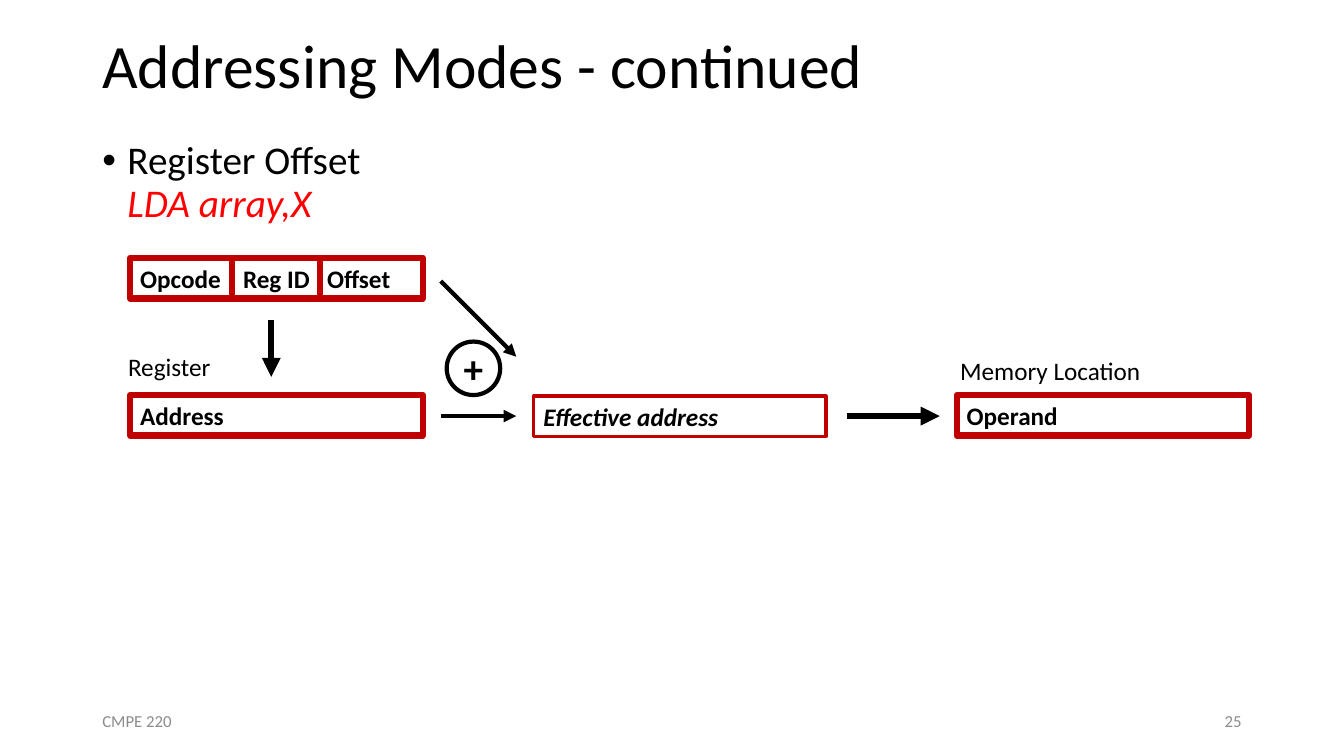
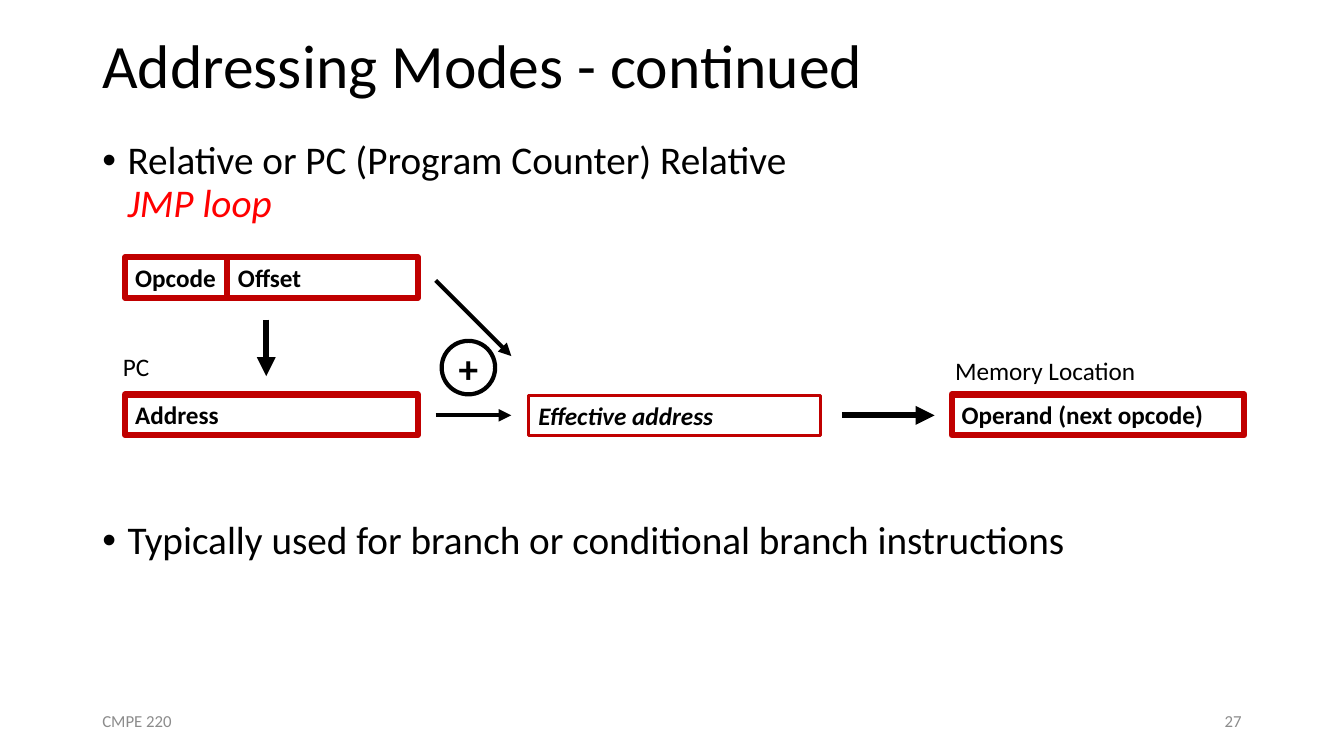
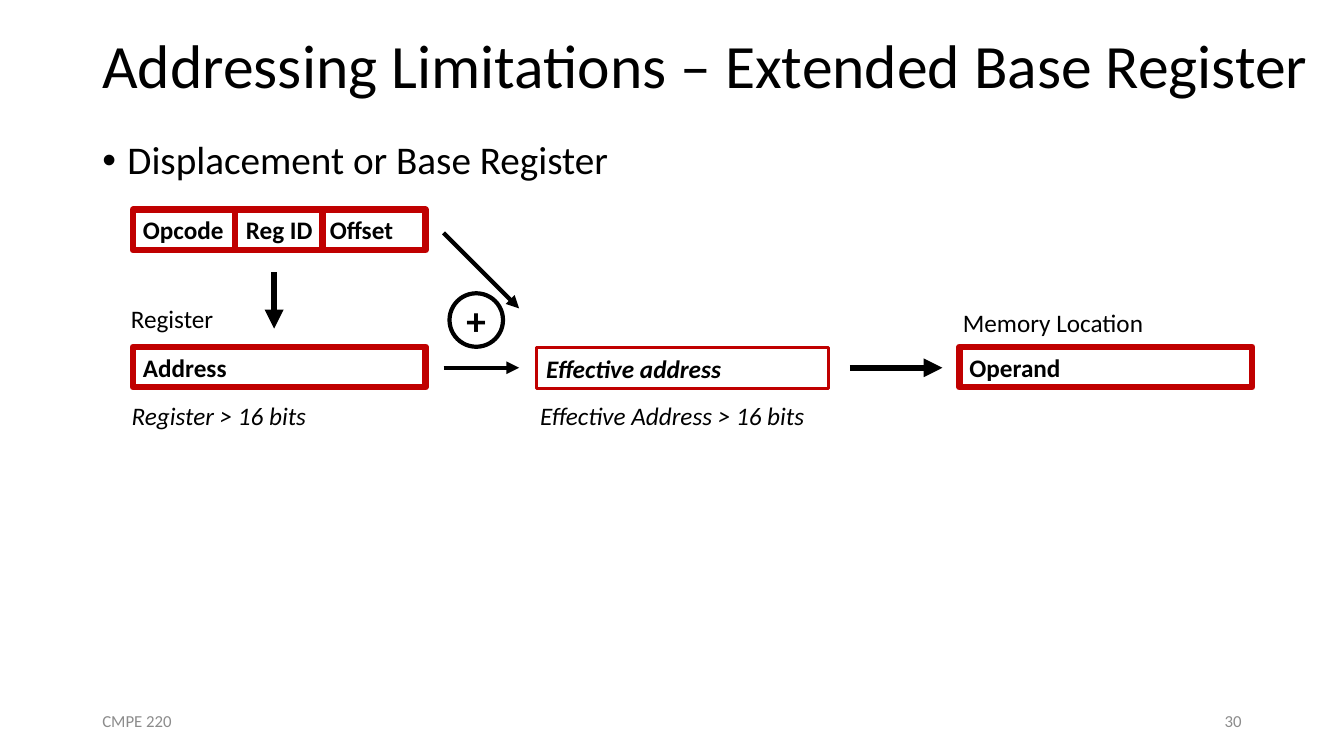
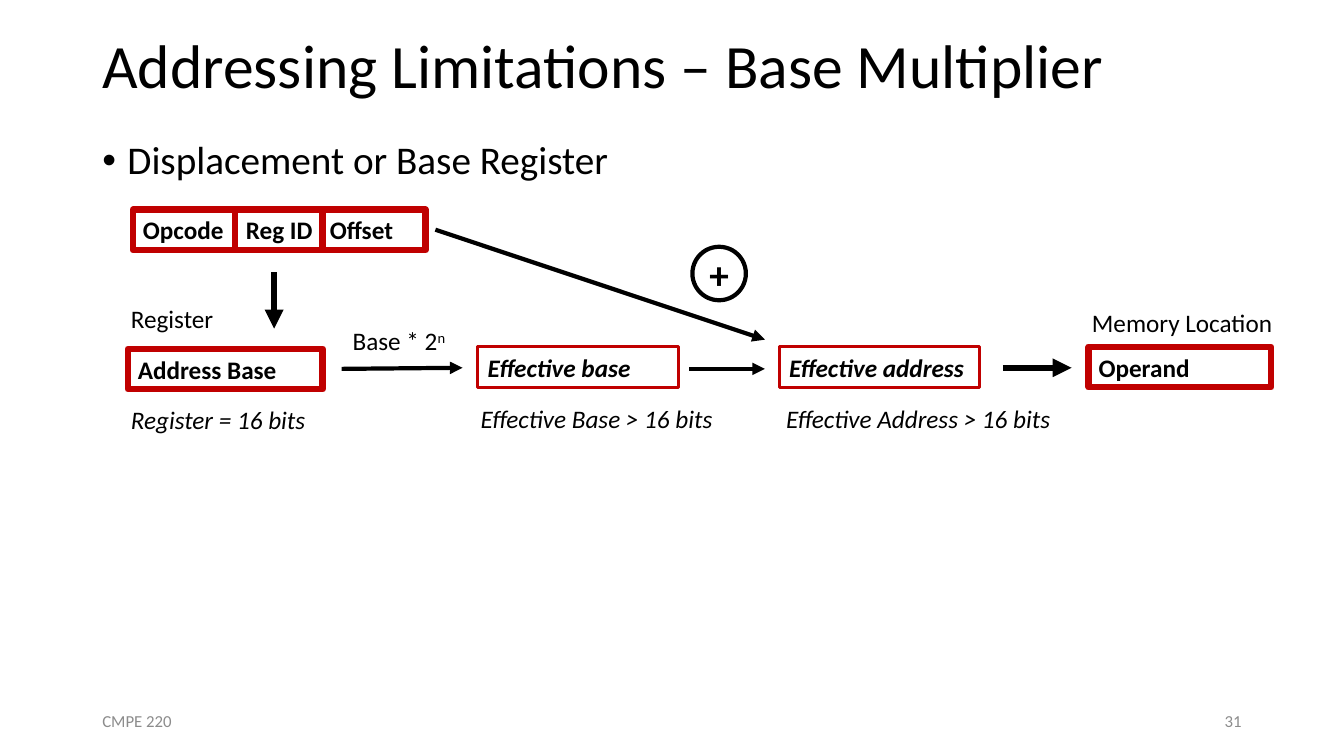
from dataclasses import dataclass

from lxml.etree import SubElement
from pptx import Presentation
from pptx.dml.color import RGBColor
from pptx.enum.shapes import MSO_CONNECTOR, MSO_SHAPE
from pptx.enum.text import MSO_ANCHOR, PP_ALIGN
from pptx.oxml.ns import qn
from pptx.shapes.autoshape import Shape
from pptx.slide import Slide
from pptx.text.text import TextFrame, _Paragraph
from pptx.util import Pt

BLACK = RGBColor(0x00, 0x00, 0x00)
RED = RGBColor(0xFF, 0x00, 0x00)
DARK_RED = RGBColor(0xC0, 0x00, 0x00)
GRAY = RGBColor(0x8C, 0x8C, 0x8C)

FONT = "Calibri"
COURSE = "CMPE 220"
MARGIN = 66
TITLE_HEIGHT = 97.2
FOOTER_TOP = 500.4
HEAVY, MEDIUM, LIGHT = 4.5, 3, 2.25
BOX_WIDTH, ROW_HEIGHT = 209, 29
LABEL_ROW, BOX_ROW, ARROW_ROW = 63.4, 98, 113
FIELD_DIVIDERS = (72.7, 135.4)
FIELD_TABS = (73.5, 133.5)
CIRCLE_SIZE = 38.2


@dataclass(frozen=True)
class TextRun:
    text: str
    size: float = 18
    color: RGBColor = BLACK
    bold: bool = False
    italic: bool = False
    superscript: bool = False


@dataclass(frozen=True)
class Bullet:
    text: str
    example: str = ""
    space_before: float = 10


@dataclass(frozen=True)
class Box:
    left: float
    top: float
    text: str
    width: float = BOX_WIDTH
    effective: bool = False


@dataclass(frozen=True)
class Label:
    left: float
    top: float
    width: float
    text: str
    italic: bool = False
    exponent: str = ""


@dataclass(frozen=True)
class Line:
    start: tuple[float, float]
    end: tuple[float, float]
    weight: float = MEDIUM
    color: RGBColor = BLACK
    arrow: bool = True


@dataclass(frozen=True)
class PlusCircle:
    left: float
    top: float


Item = Box | Label | Line | PlusCircle


@dataclass(frozen=True)
class Page:
    number: int
    title: str
    bullets: list[Bullet]
    origin: tuple[float, float]
    diagram: list[Item]
    title_width: float = 828
    body_width: float = 525.6


def add_run(paragraph: _Paragraph, text_run: TextRun) -> None:
    run = paragraph.add_run()
    run.text = text_run.text
    run.font.name = FONT
    run.font.size = Pt(text_run.size)
    run.font.color.rgb = text_run.color
    run.font.bold = text_run.bold
    run.font.italic = text_run.italic
    if text_run.superscript:
        run._r.get_or_add_rPr().set("baseline", "30000")


def add_text_frame(slide: Slide, left: float, top: float, width: float, height: float,
                   anchor: MSO_ANCHOR = MSO_ANCHOR.TOP) -> TextFrame:
    frame = slide.shapes.add_textbox(Pt(left), Pt(top), Pt(width), Pt(height)).text_frame
    frame.word_wrap = True
    frame.vertical_anchor = anchor
    return frame


def add_outline(slide: Slide, kind: MSO_SHAPE, left: float, top: float, width: float,
                height: float, color: RGBColor, weight: float) -> Shape:
    """Add an unfilled shape with a coloured border."""
    shape = slide.shapes.add_shape(kind, Pt(left), Pt(top), Pt(width), Pt(height))
    shape.shadow.inherit = False
    shape.fill.background()
    shape.line.color.rgb = color
    shape.line.width = Pt(weight)
    return shape


def draw_box(slide: Slide, x: float, y: float, box: Box) -> None:
    shape = add_outline(slide, MSO_SHAPE.RECTANGLE, x + box.left, y + box.top, box.width,
                        ROW_HEIGHT, DARK_RED, LIGHT if box.effective else HEAVY)
    paragraph = shape.text_frame.paragraphs[0]
    paragraph.alignment = PP_ALIGN.LEFT
    add_run(paragraph, TextRun(box.text, bold=True, italic=box.effective))
    tab_count = box.text.count("\t")
    if tab_count:
        tab_list = SubElement(paragraph._p.get_or_add_pPr(), qn("a:tabLst"))
        for position in FIELD_TABS[:tab_count]:
            SubElement(tab_list, qn("a:tab"), pos=str(Pt(position)), algn="l")


def draw_label(slide: Slide, x: float, y: float, label: Label) -> None:
    frame = add_text_frame(slide, x + label.left, y + label.top, label.width, ROW_HEIGHT)
    paragraph = frame.paragraphs[0]
    add_run(paragraph, TextRun(label.text, italic=label.italic))
    if label.exponent:
        add_run(paragraph, TextRun(label.exponent, superscript=True))


def draw_line(slide: Slide, x: float, y: float, line: Line) -> None:
    connector = slide.shapes.add_connector(
        MSO_CONNECTOR.STRAIGHT, Pt(x + line.start[0]), Pt(y + line.start[1]),
        Pt(x + line.end[0]), Pt(y + line.end[1]))
    connector.line.color.rgb = line.color
    connector.line.width = Pt(line.weight)
    properties = connector._element.spPr
    if line.arrow:
        SubElement(properties.find(qn("a:ln")), qn("a:tailEnd"), type="triangle")
    SubElement(properties, qn("a:effectLst"))


def draw_plus_circle(slide: Slide, x: float, y: float, circle: PlusCircle) -> None:
    shape = add_outline(slide, MSO_SHAPE.OVAL, x + circle.left, y + circle.top,
                        CIRCLE_SIZE, CIRCLE_SIZE, BLACK, MEDIUM)
    frame = shape.text_frame
    frame.margin_left = frame.margin_right = frame.margin_top = frame.margin_bottom = 0
    frame.word_wrap = False
    frame.paragraphs[0].alignment = PP_ALIGN.CENTER
    add_run(frame.paragraphs[0], TextRun("+", size=28, bold=True))


DRAWERS = {Box: draw_box, Label: draw_label, Line: draw_line, PlusCircle: draw_plus_circle}


def add_title(slide: Slide, text: str, width: float) -> None:
    frame = add_text_frame(slide, MARGIN, 0, width, TITLE_HEIGHT, MSO_ANCHOR.MIDDLE)
    frame.paragraphs[0].line_spacing = 0.9
    add_run(frame.paragraphs[0], TextRun(text, size=44))


def add_bullets(slide: Slide, bullets: list[Bullet], width: float) -> None:
    frame = add_text_frame(slide, MARGIN, TITLE_HEIGHT, width, FOOTER_TOP - TITLE_HEIGHT)
    for index, bullet in enumerate(bullets):
        paragraph = frame.add_paragraph() if index else frame.paragraphs[0]
        paragraph.line_spacing = 0.9
        paragraph.space_before = Pt(bullet.space_before)
        properties = paragraph._p.get_or_add_pPr()
        properties.set("marL", str(Pt(18)))
        properties.set("indent", str(-Pt(18)))
        SubElement(properties, qn("a:buFont"), typeface="Arial")
        SubElement(properties, qn("a:buChar"), char="•")
        add_run(paragraph, TextRun(bullet.text, size=28))
        if bullet.example:
            paragraph.add_line_break()
            add_run(paragraph, TextRun(bullet.example, size=28, color=RED, italic=True))


def add_footer(slide: Slide, number: int) -> None:
    for left, text, alignment in ((MARGIN, COURSE, PP_ALIGN.LEFT),
                                  (678, str(number), PP_ALIGN.RIGHT)):
        frame = add_text_frame(slide, left, FOOTER_TOP, 216, 28.8, MSO_ANCHOR.MIDDLE)
        frame.paragraphs[0].alignment = alignment
        add_run(frame.paragraphs[0], TextRun(text, size=12, color=GRAY))


def instruction_items(fields: list[str], register: str) -> list[Item]:
    """Instruction word with its fields, and the arrow down to the register."""
    dividers = [Line((x, 2.2), (x, 28.1), HEAVY, DARK_RED, arrow=False)
                for x in FIELD_DIVIDERS[:len(fields) - 1]]
    return [
        Box(0, 0, "\t".join(fields)),
        *dividers,
        Line((100.8, 44.6), (100.8, 85), HEAVY),
        Label(-8.6, LABEL_ROW, 74.2, register),
    ]


def memory_items(left: float, width: float, arrow_start: float, operand: str) -> list[Item]:
    """Memory location with the arrow that leads to it."""
    return [
        Line((arrow_start, ARROW_ROW), (left - 12.2, ARROW_ROW), HEAVY),
        Label(left - 4.7, LABEL_ROW + 2.8, 144.7, "Memory Location"),
        Box(left, BOX_ROW, operand, width),
    ]


def offset_diagram(fields: list[str], register: str, operand: str) -> list[Item]:
    """Register plus offset gives the effective address."""
    return [
        *instruction_items(fields, register),
        Box(0, BOX_ROW, "Address"),
        *memory_items(590.4, BOX_WIDTH, 512, operand),
        Box(288, BOX_ROW + 0.6, "Effective address", effective=True),
        Line((221.8, ARROW_ROW), (275.8, ARROW_ROW)),
        Line((221.8, 16.6), (275.8, 70.6)),
        PlusCircle(226.1, 59.8),
    ]


def multiplier_diagram(fields: list[str]) -> list[Item]:
    """Register times a power of two, plus offset, gives the effective address."""
    return [
        *instruction_items(fields, "Register"),
        Box(-3.6, 99.4, "Address Base", 139),
        *memory_items(682.6, 130.3, 621.4, "Operand"),
        Box(246.2, BOX_ROW, "Effective base", 143.3, effective=True),
        Box(461.5, BOX_ROW, "Effective address", 143.3, effective=True),
        Line((149, 113.8), (235.4, ARROW_ROW)),
        Line((397.4, 113.8), (451.4, 113.8)),
        Line((216, 14.4), (451.4, 92.9)),
        PlusCircle(399.6, 26.6),
        Label(149.8, 79.2, 82, "Base * 2", exponent="n"),
        Label(-8.6, 135.4, 196, "Register = 16 bits", italic=True),
        Label(241.2, 134.6, 196, "Effective Base > 16 bits", italic=True),
        Label(459.4, 134.6, 217.5, "Effective Address > 16 bits", italic=True),
    ]


REGISTER_FIELDS = ["Opcode", "Reg ID", "Offset"]
MODES_TITLE = "Addressing Modes - continued"
BASE_REGISTER = Bullet("Displacement or Base Register")
LIMITS_ORIGIN = (95, 149.7)

PAGES = [
    Page(25, MODES_TITLE, [Bullet("Register Offset", "LDA array,X")], (93, 184.2),
         offset_diagram(REGISTER_FIELDS, "Register", "Operand")),
    Page(27, MODES_TITLE,
         [Bullet("Relative or PC (Program Counter) Relative", "JMP loop"),
          Bullet("Typically used for branch or conditional branch instructions",
                 space_before=211)],
         (89.4, 183.7),
         offset_diagram(["Opcode", "Offset"], "PC", "Operand (next opcode)"),
         body_width=849),
    Page(30, "Addressing Limitations – Extended Base Register", [BASE_REGISTER],
         LIMITS_ORIGIN,
         [*offset_diagram(REGISTER_FIELDS, "Register", "Operand"),
          Label(-8, 132.5, 217.5, "Register > 16 bits", italic=True),
          Label(283.7, 132.5, 217.5, "Effective Address > 16 bits", italic=True)],
         title_width=894),
    Page(31, "Addressing Limitations – Base Multiplier", [BASE_REGISTER],
         LIMITS_ORIGIN, multiplier_diagram(REGISTER_FIELDS)),
]


def main() -> None:
    presentation = Presentation()
    presentation.slide_width = Pt(960)
    presentation.slide_height = Pt(540)
    for page in PAGES:
        slide = presentation.slides.add_slide(presentation.slide_layouts[6])
        add_title(slide, page.title, page.title_width)
        add_bullets(slide, page.bullets, page.body_width)
        add_footer(slide, page.number)
        for item in page.diagram:
            DRAWERS[type(item)](slide, *page.origin, item)
    presentation.save("out.pptx")


if __name__ == "__main__":
    main()
